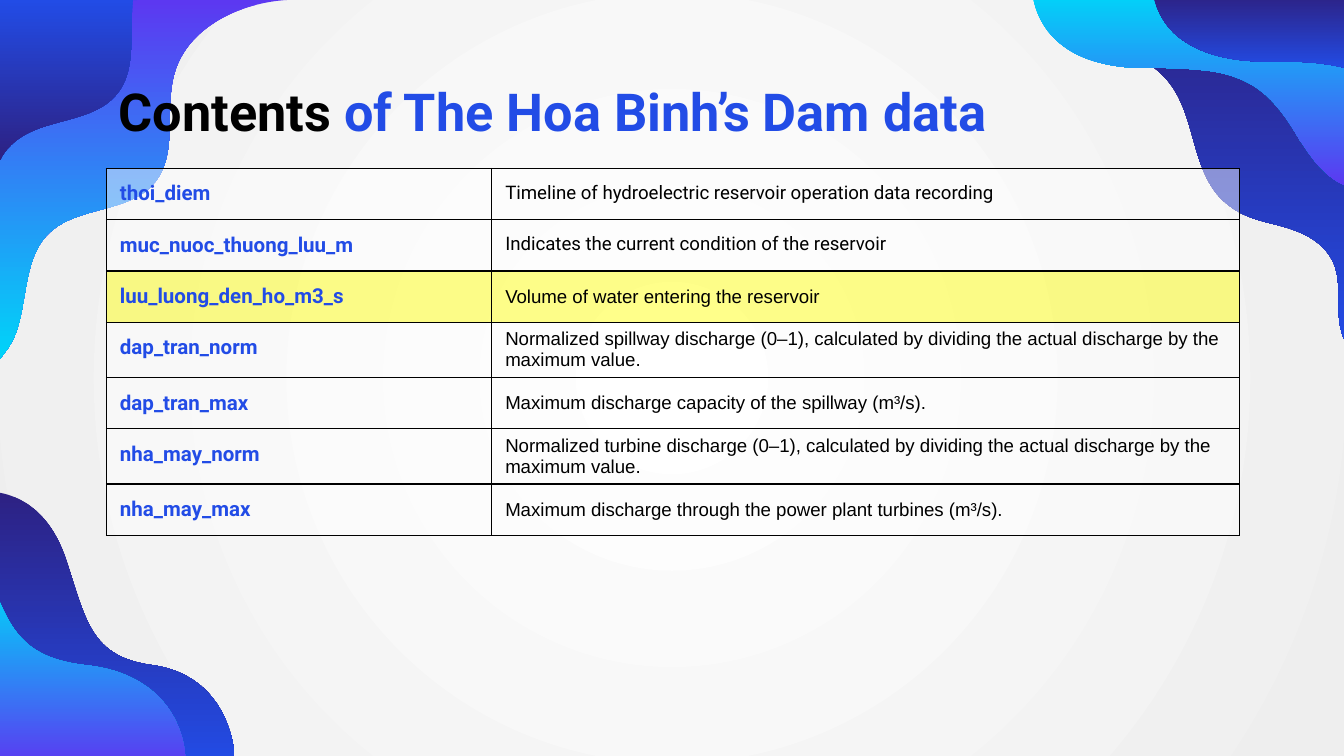
from lxml.etree import SubElement
from pptx import Presentation
from pptx.dml.color import RGBColor
from pptx.enum.text import MSO_ANCHOR as Anchor, PP_ALIGN as Align
from pptx.oxml.ns import qn
from pptx.util import Pt

BLACK = RGBColor(0x00, 0x00, 0x00)
WHITE = RGBColor(0xFF, 0xFF, 0xFF)
GREY = RGBColor(0xEE, 0xEE, 0xEE)
YELLOW = RGBColor(0xFF, 0xFF, 0x00)
BLUE = RGBColor(0x22, 0x4C, 0xE6)
NAVY = RGBColor(0x2D, 0x21, 0x83)
CYAN = RGBColor(0x00, 0xD4, 0xF9)
VIOLET = RGBColor(0x5C, 0x38, 0xF1)

# Each wave: left, top, upper colour, lower colour, outline.
# Outline items are points (x, y) or cubic curves (x1, y1, x2, y2, x, y).
WAVES = [
    (-3.6, 263.5, NAVY, BLUE, [
        (0, 0), (0, 146), (129.6, 146),
        (128.9, 121.7, 115.9, 97.2, 85.7, 92.9),
        (51.8, 88.6, 49.7, 68.4, 38.9, 36), (28.8, 5.8, 8.6, 0.7, 0, 0)]),
    (-3.6, 314, CYAN, VIOLET, [
        (0, 0), (0, 97.2), (103, 97.2),
        (103.7, 72.7, 88.6, 46.8, 50.4, 42.5),
        (16.6, 38.9, 9.4, 23.8, 0, 0)]),
    (562.3, -3.6, NAVY, BLUE, [
        (161.3, 0), (161.3, 190.1),
        (159.8, 188.6, 159.1, 187.2, 158.4, 186.5),
        (154.8, 179.3, 154.8, 172.1, 154.8, 164.2),
        (154.8, 157, 154.8, 149, 151.2, 142.6),
        (146.2, 133.2, 136.1, 128.2, 126, 125.3),
        (115.9, 122.4, 105.8, 121, 97.2, 114.5),
        (73.4, 97.9, 80.6, 62.6, 59.8, 43.2),
        (44.6, 28.1, 9.4, 25.9, 0, 3.6)]),
    (553, -3.6, CYAN, VIOLET, [
        (170.6, 0), (170.6, 103.7),
        (167.8, 103, 165.6, 102.2, 163.4, 100.8),
        (154.8, 95.8, 149, 87.1, 143.3, 78.5),
        (138.2, 69.8, 132.5, 61.2, 125.3, 54.7),
        (115.2, 45.4, 101.5, 41.8, 88.6, 41),
        (75.6, 39.6, 62.6, 40.3, 49.7, 39.6),
        (36.7, 38.2, 23, 34.6, 13, 25.2), (5.8, 18.7, 1.4, 9.4, 0, 0)]),
    (617.8, -3.6, NAVY, BLUE, [
        (105.8, 0), (105.8, 41), (100.1, 38.9, 93.6, 38.2, 87.8, 37.4),
        (74.9, 36, 61.2, 37.4, 48.2, 36),
        (35.3, 34.6, 22.3, 31, 12.2, 22.3), (5.8, 16.6, 1.4, 8.6, 0, 0)]),
    (0, 0, VIOLET, CYAN, [
        (0, 192.2), (2.9, 188.6, 5.8, 185, 7.9, 180),
        (15.1, 162, 12.2, 139, 25.9, 125.3),
        (41, 110.2, 69.1, 114.5, 82.8, 97.9),
        (95.8, 82.1, 87.8, 58.3, 93.6, 38.9),
        (100.8, 14.4, 128.9, 1.4, 154.1, 0), (155.5, 0), (0, 0)]),
    (0, 0, BLUE, NAVY, [
        (0, 85.7), (1.4, 82.8, 2.9, 80.6, 5.8, 77.8),
        (20.9, 62.6, 49, 67, 62.6, 50.4),
        (73.4, 37.4, 69.1, 18, 71.3, 0), (73.4, 0), (0, 0)]),
]

# Field name, description, description font, vertical margin, fill.
FIELDS = [
    ("thoi_diem", "Timeline of hydroelectric reservoir operation data recording",
     "Roboto", 7.2, WHITE),
    ("muc_nuoc_thuong_luu_m", "Indicates the current condition of the reservoir",
     "Roboto", 7.2, WHITE),
    ("luu_luong_den_ho_m3_s", "Volume of water entering the reservoir",
     "Arial", 3.6, YELLOW),
    ("dap_tran_norm", "Normalized spillway discharge (0–1), calculated by dividing "
     "the actual discharge by the maximum value.", "Arial", 3.6, WHITE),
    ("dap_tran_max", "Maximum discharge capacity of the spillway (m³/s).",
     "Arial", 3.6, WHITE),
    ("nha_may_norm", "Normalized turbine discharge (0–1), calculated by dividing "
     "the actual discharge by the maximum value.", "Arial", 3.6, WHITE),
    ("nha_may_max", "Maximum discharge through the power plant turbines (m³/s).",
     "Arial", 3.6, WHITE),
]


def set_attrs(obj, values):
    for name, value in values.items():
        setattr(obj, name, value)


def add_run(p, text, font, size, color, bold):
    r = p.add_run()
    r.text = text
    set_attrs(r.font, {"name": font, "size": Pt(size), "bold": bold})
    r.font.color.rgb = color


def set_gradient(fill, first, last):
    fill.gradient()
    for stop, color in zip(fill.gradient_stops, (first, last)):
        stop.color.rgb = color


def paint_background(s):
    """Fill the slide with a gradient running out from its centre."""
    set_gradient(s.background.fill, WHITE, GREY)
    grad = s.element.find(".//" + qn("a:gradFill"))
    grad.remove(grad.find(qn("a:lin")))
    circle = SubElement(grad, qn("a:path"), {"path": "circle"})
    SubElement(circle, qn("a:fillToRect"), dict.fromkeys("ltrb", "50000"))


def bend_segments(sp, segments):
    """Turn the straight segments that have control points into cubic curves."""
    lines = list(sp.element.iter(qn("a:lnTo")))
    for line, (*controls, _, _) in zip(lines, segments):
        if not controls:
            continue
        line.tag = qn("a:cubicBezTo")
        for i in (0, 2):
            pt = SubElement(line, qn("a:pt"), {"x": str(Pt(controls[i])),
                                               "y": str(Pt(controls[i + 1]))})
            line.insert(i // 2, pt)


def add_wave(s, left, top, upper, lower, outline):
    start, *segments = outline
    ends = [(Pt(x), Pt(y)) for *_, x, y in segments]
    builder = s.shapes.build_freeform(Pt(start[0]), Pt(start[1]))
    builder.add_line_segments(ends, close=True)
    sp = builder.convert_to_shape(Pt(left), Pt(top))
    bend_segments(sp, segments)
    sp.shadow.inherit = False
    sp.line.fill.background()
    set_gradient(sp.fill, upper, lower)
    sp.fill.gradient_angle = 270


def add_title(s, left, top, width, height):
    sp = s.shapes.title
    set_attrs(sp, {"left": Pt(left), "top": Pt(top),
                   "width": Pt(width), "height": Pt(height)})
    tf = sp.text_frame
    set_attrs(tf, {"vertical_anchor": Anchor.TOP, "word_wrap": True})
    set_attrs(tf, {f"margin_{side}": Pt(7.2)
                   for side in ("left", "top", "right", "bottom")})
    p = tf.paragraphs[0]
    p.alignment = Align.LEFT
    add_run(p, "Contents ", "Roboto", 28, BLACK, True)
    add_run(p, "of The Hoa Binh’s Dam data", "Roboto", 28, BLUE, True)
    s.shapes.element.append(sp.element)  # bring in front of the waves


def format_cell(cell, fill, margin, anchor):
    set_attrs(cell, {"margin_left": Pt(7.2), "margin_right": Pt(7.2),
                     "margin_top": Pt(margin), "margin_bottom": Pt(margin),
                     "vertical_anchor": anchor})
    tc_pr = cell._tc.get_or_add_tcPr()
    for side in ("lnL", "lnR", "lnT", "lnB"):
        ln = SubElement(tc_pr, qn(f"a:{side}"), {"w": str(Pt(0.75))})
        solid = SubElement(ln, qn("a:solidFill"))
        SubElement(solid, qn("a:srgbClr"), {"val": str(BLACK)})
    cell.fill.solid()
    cell.fill.fore_color.rgb = fill
    color = tc_pr.find(qn("a:solidFill")).find(qn("a:srgbClr"))
    SubElement(color, qn("a:alpha"), {"val": "46000"})


def add_field_table(s, left, top, width, height):
    table = s.shapes.add_table(len(FIELDS), 2, Pt(left), Pt(top),
                               Pt(width), Pt(height)).table
    set_attrs(table, {"first_row": False, "horz_banding": False})
    name_width = 206.5
    table.columns[0].width = Pt(name_width)
    table.columns[1].width = Pt(width - name_width)
    for row, (name, text, font, margin, fill) in zip(table.rows, FIELDS):
        row.height = Pt(height / len(FIELDS))
        name_cell, text_cell = row.cells
        format_cell(name_cell, fill, 7.2, Anchor.TOP)
        add_run(name_cell.text_frame.paragraphs[0], name, "Roboto", 11, BLUE, True)
        anchor = Anchor.MIDDLE if font == "Arial" else Anchor.TOP
        format_cell(text_cell, fill, margin, anchor)
        add_run(text_cell.text_frame.paragraphs[0], text, font, 10, BLACK, False)


def main():
    prs = Presentation()
    set_attrs(prs, {"slide_width": Pt(720), "slide_height": Pt(405)})
    s = prs.slides.add_slide(prs.slide_layouts[5])
    paint_background(s)
    for wave in WAVES:
        add_wave(s, *wave)
    add_field_table(s, 57, 90.2, 607, 192.5)
    add_title(s, 56.4, 35.4, 607.6, 45.4)
    prs.save("out.pptx")


if __name__ == "__main__":
    main()
